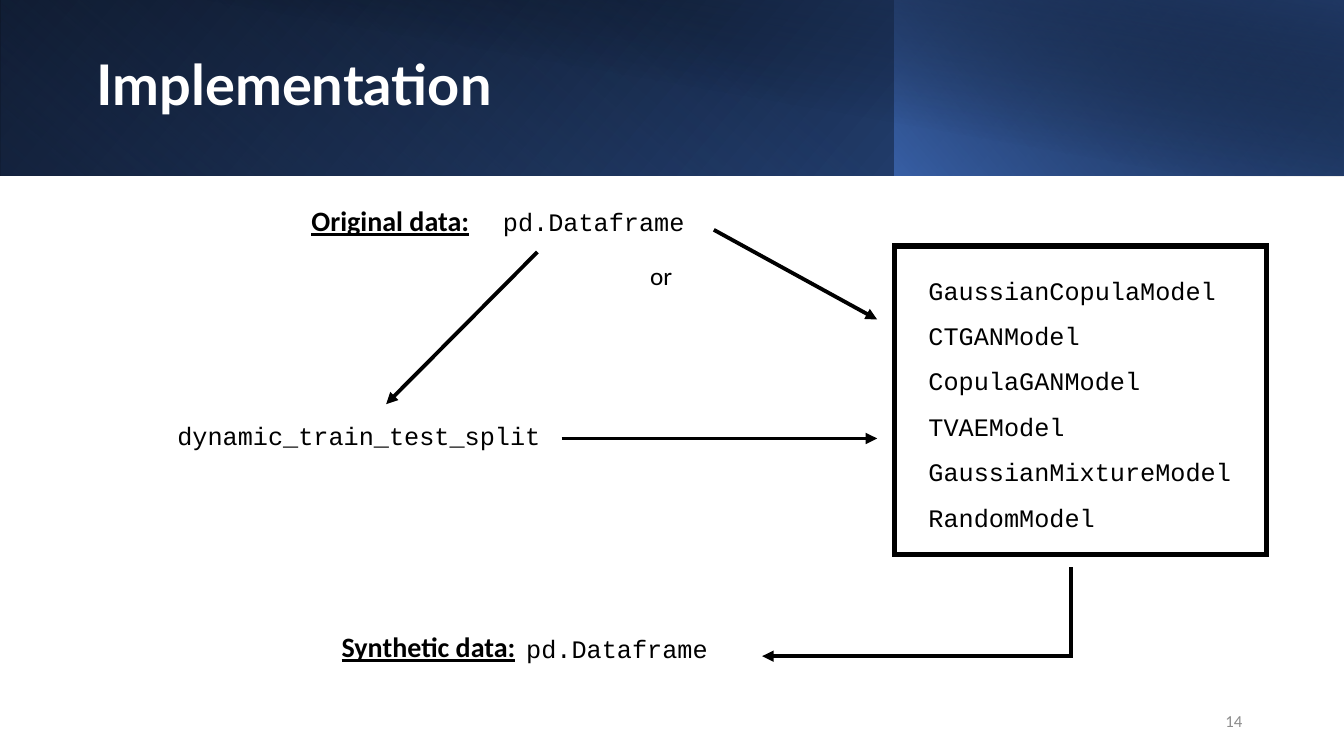
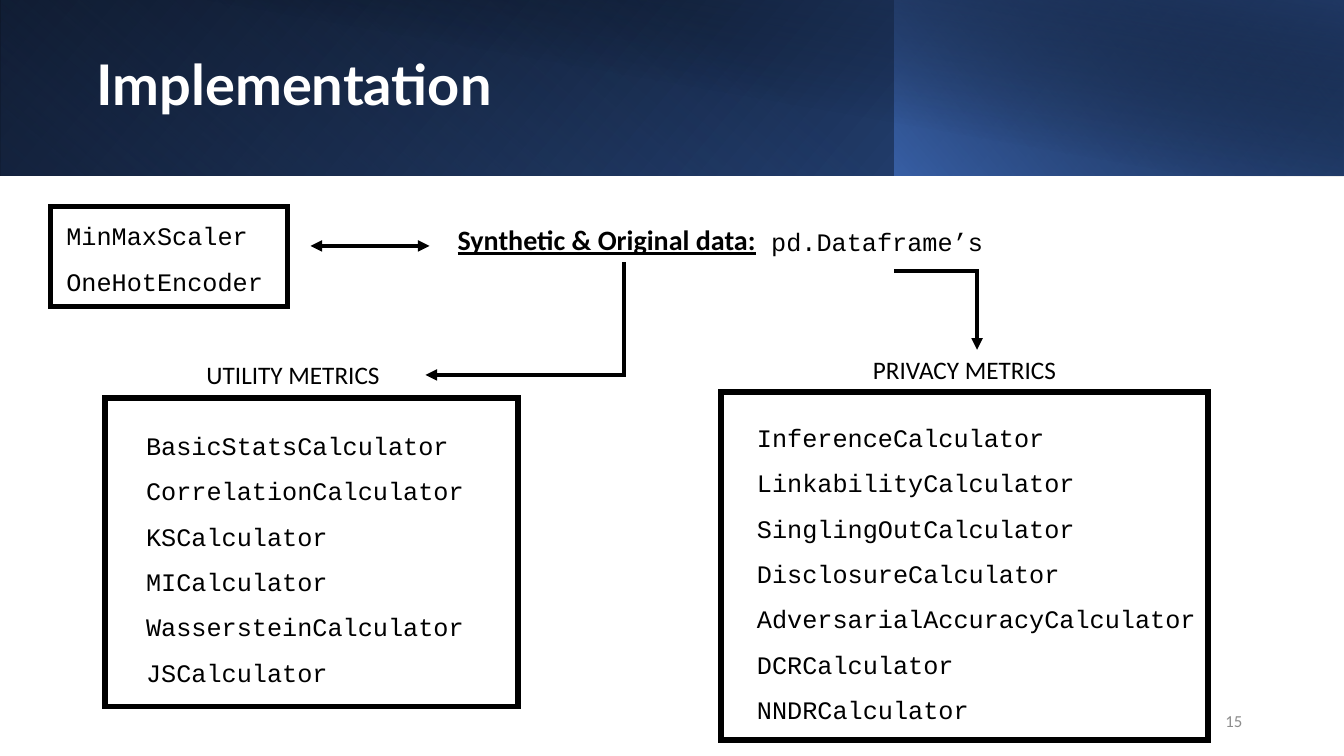
from dataclasses import dataclass
from lxml.etree import SubElement
from pptx import Presentation
from pptx.dml.color import RGBColor
from pptx.enum.shapes import MSO_CONNECTOR, MSO_SHAPE
from pptx.enum.text import MSO_ANCHOR, MSO_AUTO_SIZE, PP_ALIGN
from pptx.oxml import parse_xml
from pptx.oxml.ns import nsdecls, qn
from pptx.util import Inches, Pt


@dataclass(frozen=True)
class Theme:
    black: str = "000000"
    white: str = "FFFFFF"
    gray: str = "8C8C8C"
    blue: str = "4472C4"
    deep: str = "2F5597"
    navy: str = "203864"
    head: str = "Lato"
    body: str = "Calibri"
    code: str = "Courier New"
    title: int = 40
    label: int = 20
    text: int = 18
    note: int = 12
    frame: float = 4
    arrow: float = 2.75


T = Theme()
WIDE, HIGH, TOP = 13.33, 7.5, 1.75


def write(slide, box, lines, font=T.body, size=T.text, color=T.black,
          bold=False, under=False, align=PP_ALIGN.LEFT,
          anchor=MSO_ANCHOR.TOP, space=1.0, wrap=True, grow=True):
    frame = slide.shapes.add_textbox(*map(Inches, box)).text_frame
    frame.word_wrap = wrap
    frame.auto_size = MSO_AUTO_SIZE.SHAPE_TO_FIT_TEXT if grow else MSO_AUTO_SIZE.NONE
    frame.vertical_anchor = anchor
    frame.text = lines
    for para in frame.paragraphs:
        para.alignment = align
        para.line_spacing = space
        for run in para.runs:
            face = run.font
            face.name, face.size = font, Pt(size)
            face.bold, face.underline = bold, under
            face.color.rgb = RGBColor.from_string(color)


def label(slide, box, text):
    write(slide, box, text, size=T.label, bold=True, under=True)


def code(slide, box, text, space=1.0):
    write(slide, box, text, font=T.code, space=space, wrap=False)


def rect(slide, box):
    shape = slide.shapes.add_shape(MSO_SHAPE.RECTANGLE, *map(Inches, box))
    shape.shadow.inherit = False
    return shape


def stroke(line, width):
    line.color.rgb = RGBColor.from_string(T.black)
    line.width = Pt(width)


def panel(slide, box, names, pad):
    left, top, wide, high = box
    frame = rect(slide, box)
    frame.fill.background()
    stroke(frame.line, T.frame)
    SubElement(frame.line._get_or_add_ln(), qn("a:miter"), lim="800000")
    dx, dy = pad
    code(slide, (left + dx, top + dy, wide - dx, high - dy), "\n".join(names), 1.5)


def arrow(slide, start, end, ends=("tailEnd",), bent=False):
    kind = MSO_CONNECTOR.ELBOW if bent else MSO_CONNECTOR.STRAIGHT
    link = slide.shapes.add_connector(kind, *map(Inches, (*start, *end)))
    stroke(link.line, T.arrow)
    props = link._element.spPr
    if bent:
        props.find(qn("a:prstGeom")).set("prst", "bentConnector2")
    line = link.line._get_or_add_ln()
    SubElement(line, qn("a:miter"), lim="800000")
    for tip in ends:
        SubElement(line, qn("a:" + tip), type="triangle")
    SubElement(props, qn("a:effectLst"))


def blend(slide, box, stops, angle, flip=True, turn=0):
    shape = rect(slide, box)
    shape.line.fill.background()
    shape.rotation = turn
    props = shape._element.spPr
    if flip:
        props.find(qn("a:xfrm")).set("flipH", "1")
    marks = "".join(
        f'<a:gs pos="{spot * 1000}"><a:srgbClr val="{color}">'
        f'<a:alpha val="{alpha * 1000}"/></a:srgbClr></a:gs>'
        for spot, color, alpha in stops)
    fill = parse_xml(
        f'<a:gradFill {nsdecls("a")} rotWithShape="1"><a:gsLst>{marks}</a:gsLst>'
        f'<a:lin ang="{angle * 60000}" scaled="0"/></a:gradFill>')
    props.find(qn("a:prstGeom")).addnext(fill)


def band(slide, box, title):
    x, y, wide, high = box
    split = 8.87
    blend(slide, (x, y, wide, high - 0.01),
          [(0, T.black, 100), (100, T.deep, 100)], 140)
    blend(slide, (x, y, split + 0.01, high - 0.01),
          [(20, T.blue, 0), (100, T.navy, 55)], 230, turn=180)
    blend(slide, (x + split, y, wide - split, high - 0.01),
          [(0, T.blue, 66), (100, T.black, 30)], 220)
    blend(slide, (x + 0.5, y, wide - 0.5, high),
          [(50, T.black, 0), (99, T.navy, 52)], 280, flip=False)
    write(slide, (x + 0.86, y + 0.3, 10.82, 1.13), title, font=T.head,
          size=T.title, color=T.white, bold=True, space=0.9,
          anchor=MSO_ANCHOR.MIDDLE, grow=False)


def foot(slide, box, number):
    write(slide, box, str(number), size=T.note, color=T.gray,
          align=PP_ALIGN.RIGHT, anchor=MSO_ANCHOR.MIDDLE, grow=False)


def models(slide, box):
    x, y = box[:2]
    panel(slide, (x + 8.87, y + 0.69, 3.69, 3.06),
          ["GaussianCopulaModel", "CTGANModel", "CopulaGANModel",
           "TVAEModel", "GaussianMixtureModel", "RandomModel"], (0.24, 0.09))
    label(slide, (x + 2.99, y + 0.22, 2.07, 0.44), "Original data:")
    code(slide, (x + 4.89, y + 0.25, 2.01, 0.4), "pd.Dataframe")
    write(slide, (x + 6.35, y + 0.78, 0.57, 0.42), "or")
    code(slide, (x + 1.66, y + 2.37, 3.82, 0.4), "dynamic_train_test_split")
    label(slide, (x + 3.29, y + 4.45, 2.07, 0.44), "Synthetic data:")
    code(slide, (x + 5.12, y + 4.48, 2.01, 0.4), "pd.Dataframe")
    arrow(slide, (x + 7.08, y + 0.53), (x + 8.7, y + 1.42))
    arrow(slide, (x + 5.33, y + 0.75), (x + 3.83, y + 2.26))
    arrow(slide, (x + 5.57, y + 2.6), (x + 8.7, y + 2.6))
    arrow(slide, (x + 7.56, y + 4.76), (x + 10.62, y + 3.88), ("headEnd",), True)


def scores(slide, box):
    x, y = box[:2]
    panel(slide, (x + 0.5, y + 0.3, 2.35, 0.99),
          ["MinMaxScaler", "OneHotEncoder"], (0.06, -0.06))
    label(slide, (x + 4.44, y + 0.41, 3.5, 0.44), "Synthetic & Original data:")
    code(slide, (x + 7.55, y + 0.45, 2.31, 0.4), "pd.Dataframe’s")
    write(slide, (x + 1.95, y + 1.77, 2.27, 0.4), "UTILITY METRICS")
    panel(slide, (x + 1.04, y + 2.2, 4.1, 3.06),
          ["BasicStatsCalculator", "CorrelationCalculator", "KSCalculator",
           "MICalculator", "WassersteinCalculator", "JSCalculator"], (0.31, 0.12))
    write(slide, (x + 8.56, y + 1.72, 2.27, 0.4), "PRIVACY METRICS")
    panel(slide, (x + 7.15, y + 2.14, 4.83, 3.45),
          ["InferenceCalculator", "LinkabilityCalculator",
           "SinglingOutCalculator", "DisclosureCalculator",
           "AdversarialAccuracyCalculator", "DCRCalculator",
           "NNDRCalculator"], (0.26, 0.1))
    arrow(slide, (x + 3.08, y + 0.69), (x + 4.26, y + 0.69), ("headEnd", "tailEnd"))
    arrow(slide, (x + 4.22, y + 1.97), (x + 6.19, y + 0.85), ("headEnd",), True)
    arrow(slide, (x + 8.87, y + 0.94), (x + 9.69, y + 1.72), bent=True)


def main():
    deck = Presentation()
    deck.slide_width, deck.slide_height = Inches(WIDE), Inches(HIGH)
    for number, draw in enumerate((models, scores), 14):
        slide = deck.slides.add_slide(deck.slide_layouts[6])
        band(slide, (0, 0, WIDE, TOP), "Implementation")
        foot(slide, (9.42, 6.95, 3, 0.4), number)
        draw(slide, (0, TOP, WIDE, HIGH - TOP))
    deck.save("out.pptx")


if __name__ == "__main__":
    main()
